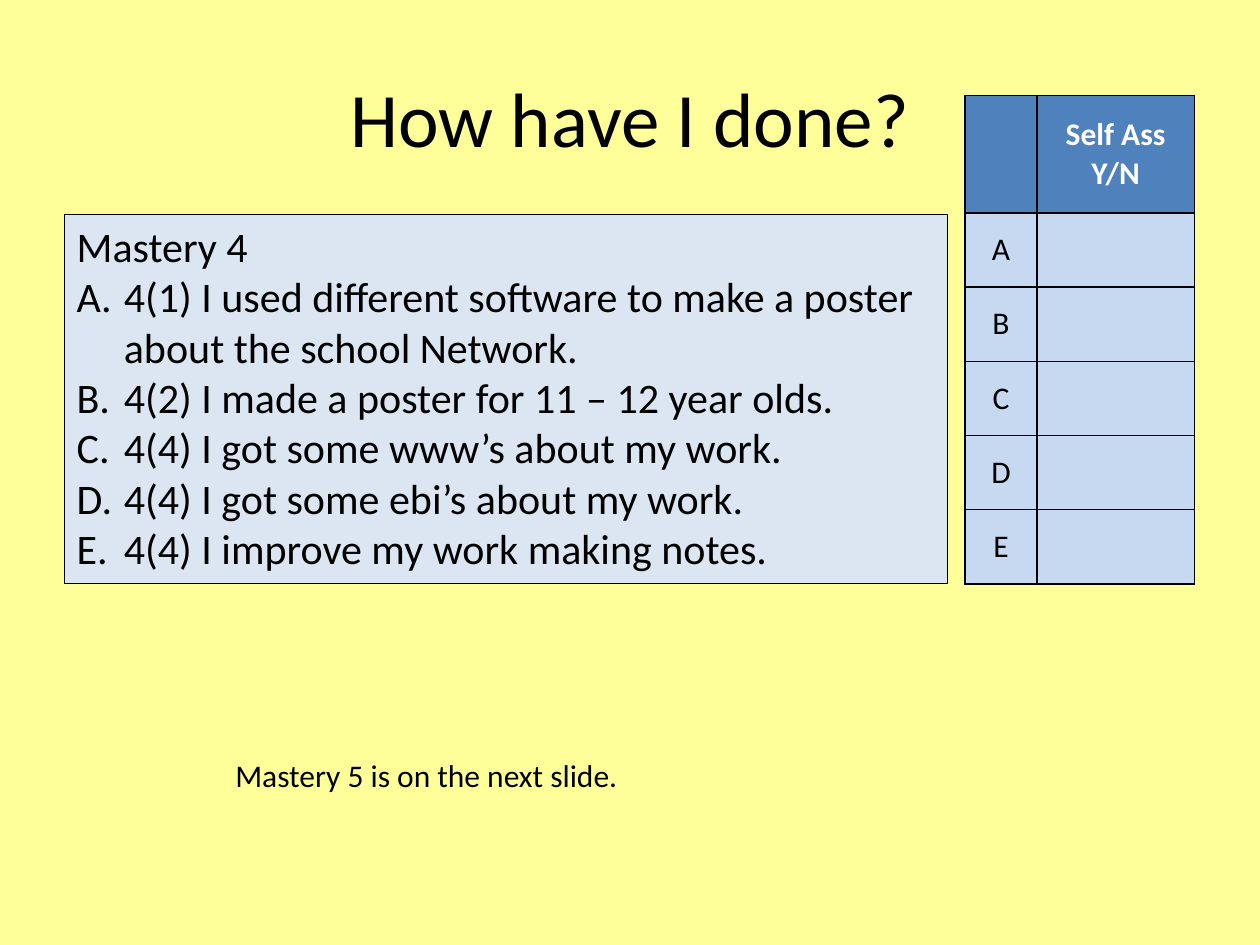
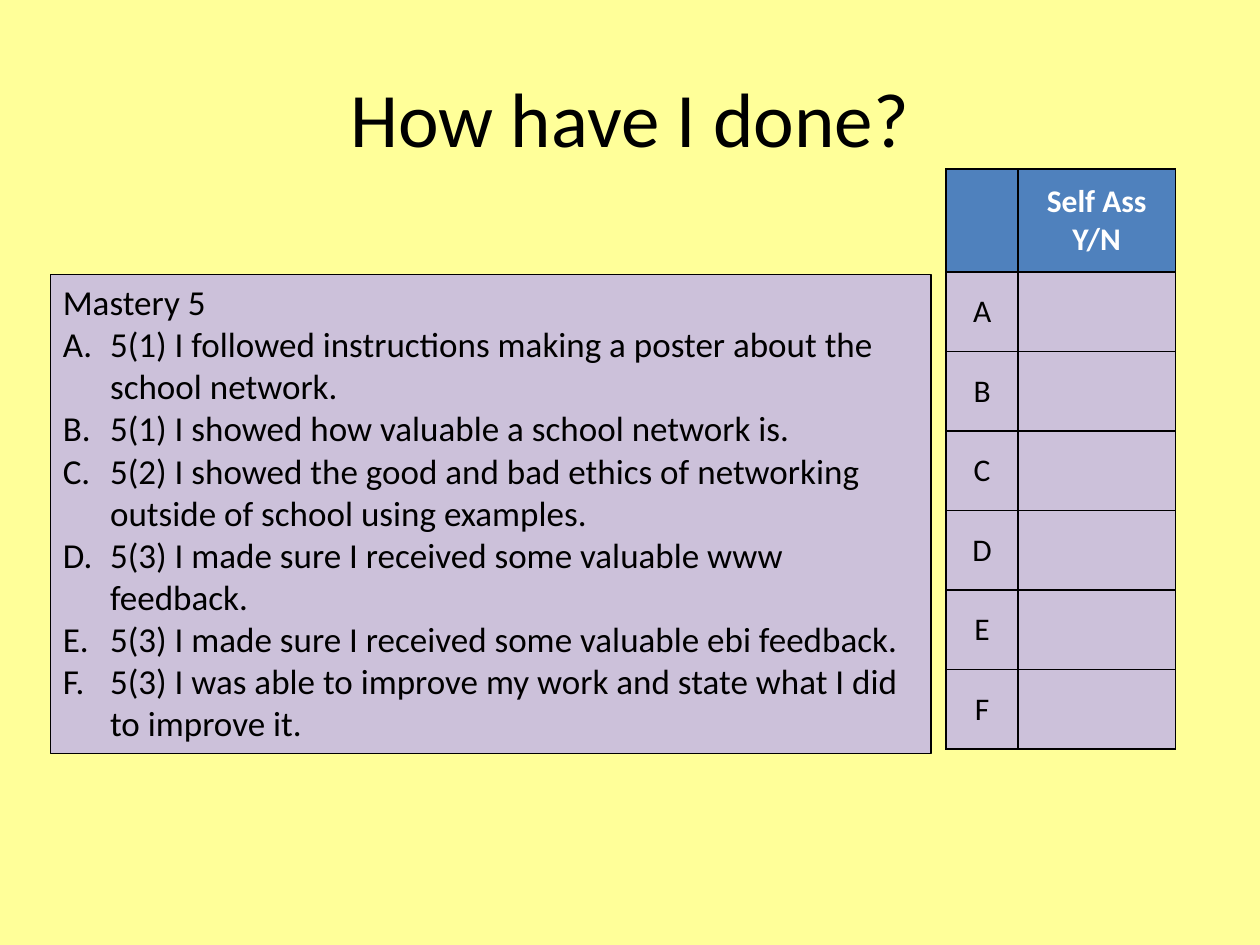
from lxml.etree import SubElement
from pptx import Presentation
from pptx.dml.color import RGBColor
from pptx.enum.shapes import MSO_SHAPE
from pptx.enum.text import MSO_ANCHOR, PP_ALIGN
from pptx.oxml.ns import qn
from pptx.util import Pt

FONT = "Calibri"
BLACK = RGBColor(0x00, 0x00, 0x00)
WHITE = RGBColor(0xFF, 0xFF, 0xFF)
YELLOW = RGBColor(0xFF, 0xFF, 0x99)
HEADER_BLUE = RGBColor(0x4F, 0x81, 0xBD)
PALE_BLUE = RGBColor(0xDC, 0xE6, 0xF2)
ROW_BLUE = RGBColor(0xC6, 0xD9, 0xF1)
LILAC = RGBColor(0xCC, 0xC1, 0xDA)

TITLE = "How have I done?"
TABLE_HEADING = "Self Ass\nY/N"
COLUMN_WIDTHS = (41, 90)
HANGING_INDENT = 27

SLIDES = [
    {
        "heading": "Mastery 4",
        "criteria": [
            "4(1) I used different software to make a poster about the school Network.",
            "4(2) I made a poster for 11 – 12 year olds.",
            "4(4) I got some www’s about my work.",
            "4(4) I got some ebi’s about my work.",
            "4(4) I improve my work making notes.",
        ],
        "text_size": 24,
        "box": (36.7, 122.4, 504.7, 211),
        "box_fill": PALE_BLUE,
        "table_at": (551.5, 54.7),
        "header_height": 67,
        "row_height": 42.4,
        "row_fill": ROW_BLUE,
        "note": "Mastery 5 is on the next slide.",
    },
    {
        "heading": "Mastery 5",
        "criteria": [
            "5(1) I followed instructions making a poster about the school network.",
            "5(1) I showed how valuable a school network is.",
            "5(2) I showed the good and bad ethics of networking outside of school using examples.",
            "5(3) I made sure I received some valuable www feedback.",
            "5(3) I made sure I received some valuable ebi feedback.",
            "5(3) I was able to improve my work and state what I did to improve it.",
        ],
        "text_size": 20,
        "box": (28.8, 157, 503.3, 273.6),
        "box_fill": LILAC,
        "table_at": (540.7, 96.5),
        "header_height": 59,
        "row_height": 45.45,
        "row_fill": LILAC,
        "note": None,
    },
]
NOTE_BOX = (127.4, 428.4, 374.4, 29)


def points(*values):
    return [Pt(value) for value in values]


def write(text_frame, text, size, color=BLACK, align=PP_ALIGN.LEFT, bold=False):
    text_frame.text = text
    for paragraph in text_frame.paragraphs:
        paragraph.alignment = align
        for run in paragraph.runs:
            run.font.name, run.font.size, run.font.bold = FONT, Pt(size), bold
            run.font.color.rgb = color


def add_title(slide):
    title = slide.shapes.title
    title.left, title.top, title.width, title.height = points(36, 21.6, 648, 90)
    title.text_frame.vertical_anchor = MSO_ANCHOR.MIDDLE
    write(title.text_frame, TITLE, 44, align=PP_ALIGN.CENTER)


def add_criteria(slide, content):
    box = slide.shapes.add_shape(MSO_SHAPE.RECTANGLE, *points(*content["box"]))
    box.shadow.inherit = False
    box.fill.solid()
    box.fill.fore_color.rgb = content["box_fill"]
    box.line.color.rgb = BLACK
    box.line.width = Pt(0.75)
    text_frame = box.text_frame
    text_frame.word_wrap = True
    text_frame.vertical_anchor = MSO_ANCHOR.TOP
    write(text_frame, "\n".join([content["heading"], *content["criteria"]]), content["text_size"])
    for paragraph in text_frame.paragraphs[1:]:
        properties = paragraph._p.get_or_add_pPr()
        properties.set("marL", str(Pt(HANGING_INDENT)))
        properties.set("indent", str(-Pt(HANGING_INDENT)))
        SubElement(properties, qn("a:buFont"), typeface="+mj-lt")
        SubElement(properties, qn("a:buAutoNum"), type="alphaUcPeriod")


def format_cell(cell, fill):
    properties = cell._tc.get_or_add_tcPr()
    for side in ("lnL", "lnR", "lnT", "lnB"):
        border = SubElement(properties, qn(f"a:{side}"), w=str(Pt(1)))
        color = SubElement(SubElement(border, qn("a:solidFill")), qn("a:srgbClr"))
        color.set("val", str(BLACK))
    cell.fill.solid()
    cell.fill.fore_color.rgb = fill
    cell.vertical_anchor = MSO_ANCHOR.MIDDLE


def add_self_assessment(slide, content):
    count = len(content["criteria"])
    heights = [content["header_height"]] + [content["row_height"]] * count
    size = points(sum(COLUMN_WIDTHS), sum(heights))
    frame = slide.shapes.add_table(count + 1, 2, *points(*content["table_at"]), *size)
    table = frame.table
    for column, width in zip(table.columns, COLUMN_WIDTHS):
        column.width = Pt(width)
    for index, (row, height) in enumerate(zip(table.rows, heights)):
        row.height = Pt(height)
        for cell in row.cells:
            format_cell(cell, content["row_fill"] if index else HEADER_BLUE)
        if index:
            letter = chr(ord("A") + index - 1)
            write(row.cells[0].text_frame, letter, 18, align=PP_ALIGN.CENTER)
        else:
            write(row.cells[1].text_frame, TABLE_HEADING, 18, WHITE, PP_ALIGN.CENTER, True)


def add_note(slide, text):
    note = slide.shapes.add_textbox(*points(*NOTE_BOX))
    note.text_frame.word_wrap = True
    write(note.text_frame, text, 18)


presentation = Presentation()
presentation.slide_width, presentation.slide_height = points(720, 540)
for content in SLIDES:
    slide = presentation.slides.add_slide(presentation.slide_layouts[5])
    slide.background.fill.solid()
    slide.background.fill.fore_color.rgb = YELLOW
    add_title(slide)
    add_criteria(slide, content)
    add_self_assessment(slide, content)
    if content["note"]:
        add_note(slide, content["note"])
presentation.save("out.pptx")
